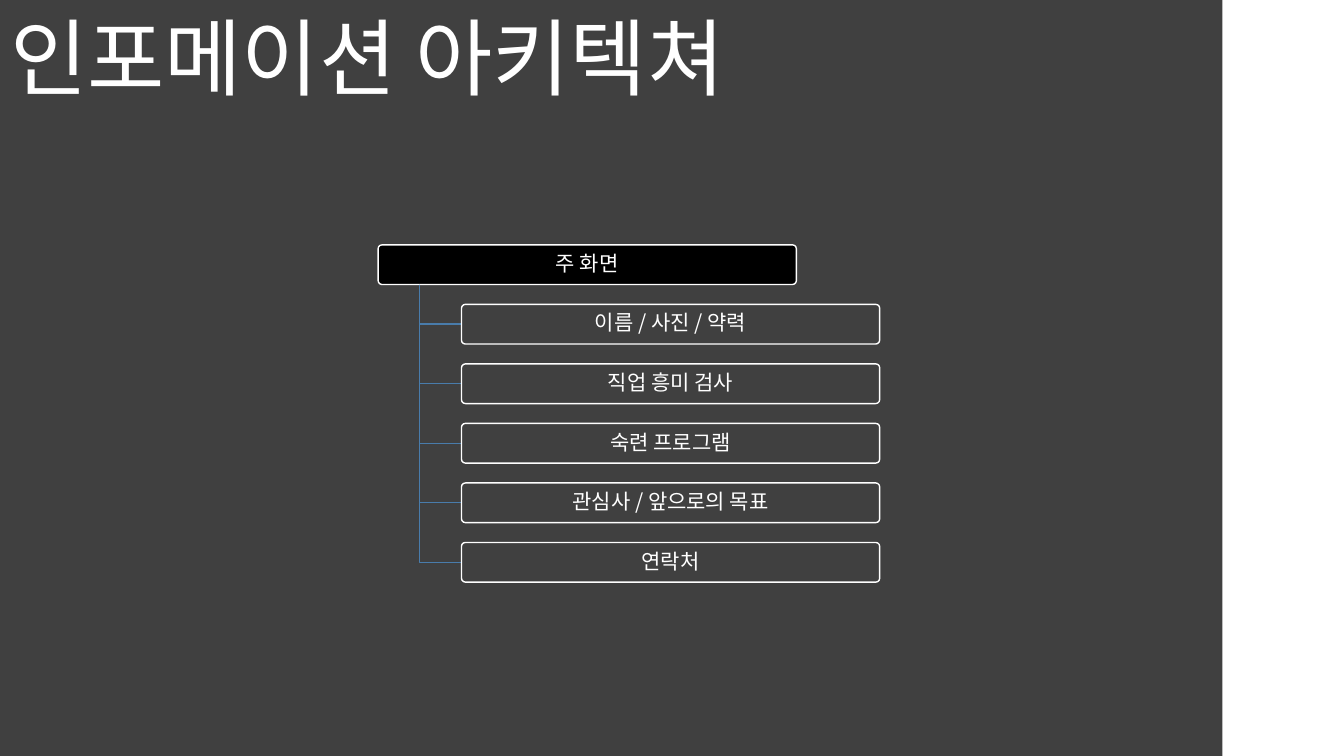
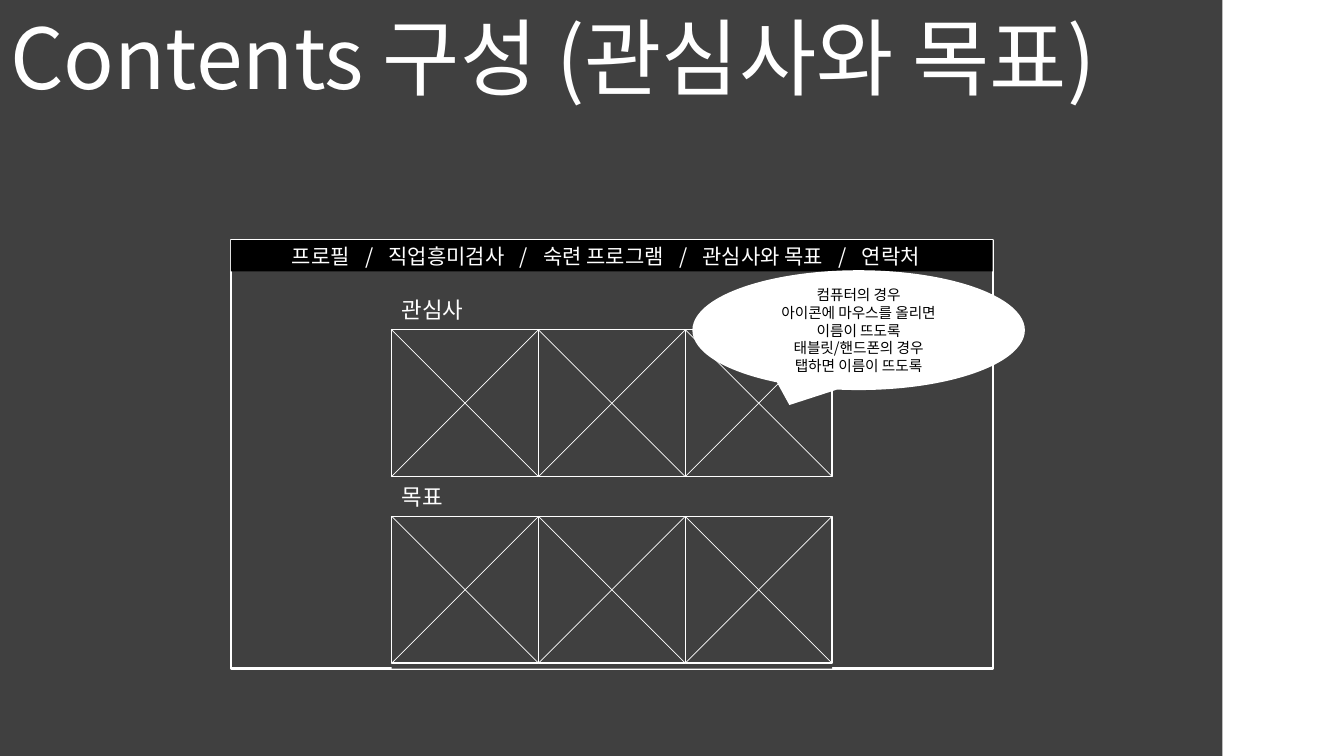
from dataclasses import dataclass

from lxml import etree
from pptx import Presentation
from pptx.dml.color import RGBColor
from pptx.enum.shapes import MSO_CONNECTOR, MSO_SHAPE
from pptx.enum.text import MSO_ANCHOR, MSO_AUTO_SIZE, PP_ALIGN
from pptx.oxml.ns import qn
from pptx.util import Cm, Pt

RECT, ROUNDED = MSO_SHAPE.RECTANGLE, MSO_SHAPE.ROUNDED_RECTANGLE
CALLOUT = MSO_SHAPE.OVAL_CALLOUT
STRAIGHT = MSO_CONNECTOR.STRAIGHT
TOP, MIDDLE = MSO_ANCHOR.TOP, MSO_ANCHOR.MIDDLE
LEFT, CENTER = PP_ALIGN.LEFT, PP_ALIGN.CENTER
GROW = MSO_AUTO_SIZE.SHAPE_TO_FIT_TEXT
TITLE_ONLY = 5

# Boxes are (left, top, width, height); all lengths are in centimetres.
SLIDE_WIDTH, SLIDE_HEIGHT = 33.87, 19.05
PANEL_BOX = (0, 0, 30.81, SLIDE_HEIGHT)
TITLE_BOX = (0, 0, 28.6, 2.82)
NODE_HEIGHT, NODE_INDENT = 1, 2.1
MENU_HEIGHT = 0.79
GALLERY_WIDTH, GALLERY_OFFSET = 11.1, 1.3
HEADING_WIDTH, HEADING_HEIGHT, GALLERY_ROW_PITCH = 6.02, 0.96, 4.7


@dataclass(frozen=True)
class Theme:
    """Colours, font, type sizes and line widths shared by the slides."""
    panel: RGBColor = RGBColor(0x40, 0x40, 0x40)
    white: RGBColor = RGBColor(0xFF, 0xFF, 0xFF)
    black: RGBColor = RGBColor(0, 0, 0)
    branch: RGBColor = RGBColor(0x49, 0x7C, 0xAB)
    font: str = "Noto Sans CJK KR"
    title: float = 60
    heading: float = 16
    body: float = 15
    note: float = 10.5
    thin: float = 0.5
    regular: float = 1
    thick: float = 1.75


THEME = Theme()


def style_text(shape, size, color=THEME.white, align=CENTER, anchor=MIDDLE):
    """Format every paragraph of a shape alike."""
    frame = shape.text_frame
    frame.word_wrap = True
    frame.vertical_anchor = anchor
    for paragraph in frame.paragraphs:
        paragraph.alignment = align
        font = paragraph.font
        font.size, font.name = Pt(size), THEME.font
        font.color.rgb = color
    for defaults in shape.element.iter(qn("a:defRPr")):
        etree.SubElement(defaults, qn("a:ea"), typeface=THEME.font)


def style_heading(shape, text, size):
    """Fill a top-left heading that grows with its text."""
    shape.text_frame.text = text
    style_text(shape, size, align=LEFT, anchor=TOP)
    shape.text_frame.auto_size = GROW


def style_line(shape, color, width):
    """Set the colour and the width in points of a line."""
    shape.line.color.rgb = color
    shape.line.width = Pt(width)


def add_block(slide, kind, box, fill, line_width=None):
    """Add a filled preset shape, outlined in white if a width is given."""
    block = slide.shapes.add_shape(kind, *map(Cm, box))
    block.shadow.inherit = False
    block.fill.solid()
    block.fill.fore_color.rgb = fill
    if line_width is None:
        block.line.fill.background()
    else:
        style_line(block, THEME.white, line_width)
    return block


def add_titled_slide(deck, title_text):
    """Add a slide with the dark panel behind the large title."""
    slide = deck.slides.add_slide(deck.slide_layouts[TITLE_ONLY])
    title = slide.shapes.title
    title.left, title.top, title.width, title.height = map(Cm, TITLE_BOX)
    style_heading(title, title_text, THEME.title)
    panel = add_block(slide, RECT, PANEL_BOX, THEME.panel)
    title.element.addprevious(panel.element)
    return slide


def add_node(slide, box, text, fill):
    """Add one labelled box of the hierarchy."""
    node = add_block(slide, ROUNDED, box, fill, THEME.regular)
    node.adjustments[0] = 0.1
    frame = node.text_frame
    frame.text = text
    frame.margin_left = frame.margin_right = Cm(0.08)
    frame.margin_top = frame.margin_bottom = Cm(0.05)
    frame.paragraphs[0].line_spacing = 0.9
    style_text(node, THEME.body)


def add_branch(slide, box):
    """Draw an elbow down the left edge and along the bottom of the box."""
    left, top, width, height = box
    start, corner, end = [
        (Cm(x), Cm(y)) for x, y in ((left, top), (left, top + height),
                                    (left + width, top + height))]
    builder = slide.shapes.build_freeform(*start)
    builder.add_line_segments([corner, end], close=False)
    branch = builder.convert_to_shape()
    branch.shadow.inherit = False
    branch.fill.background()
    style_line(branch, THEME.branch, THEME.regular)


def add_hierarchy(slide, box, root, children):
    """Draw a root with indented children, spread evenly over the box."""
    left, top, width, height = box
    node_width = width - NODE_INDENT
    row_pitch = (height - NODE_HEIGHT) / len(children)
    trunk_offset = NODE_INDENT / 2
    add_node(slide, (left, top, node_width, NODE_HEIGHT), root, THEME.black)
    for row, child in enumerate(children, start=1):
        drop = row * row_pitch
        add_branch(slide, (left + trunk_offset, top + NODE_HEIGHT,
                           NODE_INDENT - trunk_offset, drop - NODE_HEIGHT / 2))
        add_node(slide, (left + NODE_INDENT, top + drop, node_width, NODE_HEIGHT),
                 child, THEME.panel)


def add_menu(slide, box, entries):
    """Add the black menu bar, its entries parted by widely spaced slashes."""
    menu = add_block(slide, RECT, box, THEME.black)
    menu.text_frame.margin_right = Cm(0.55)
    paragraph = menu.text_frame.paragraphs[0]
    for position, entry in enumerate(entries):
        separator = (" ", "/", " ") if position else ()
        for piece in (*separator, entry):
            paragraph.add_run().text = piece
    for run in menu.element.iter(qn("a:r")):
        if run.text == " ":
            run.get_or_add_rPr().set("spc", "750")
    style_text(menu, THEME.body)


def add_tile(slide, box):
    """Add an icon slot crossed by its two diagonals."""
    left, top, width, height = box
    right, bottom = left + width, top + height
    add_block(slide, RECT, box, THEME.panel, THEME.regular)
    for ends in ((left, top, right, bottom), (right, top, left, bottom)):
        diagonal = slide.shapes.add_connector(STRAIGHT, *map(Cm, ends))
        style_line(diagonal, THEME.white, THEME.thin)
        etree.SubElement(diagonal.element.spPr, qn("a:effectLst"))


def add_gallery(slide, box, headings, columns=3):
    """Stack headed rows of square icon slots in the box."""
    left, top, width, _ = box
    add_block(slide, RECT, box, THEME.panel)
    side = width / columns
    for row, heading_text in enumerate(headings):
        heading_top = top + row * GALLERY_ROW_PITCH
        heading = slide.shapes.add_textbox(
            *map(Cm, (left, heading_top, HEADING_WIDTH, HEADING_HEIGHT)))
        style_heading(heading, heading_text, THEME.heading)
        tile_top = heading_top + HEADING_HEIGHT
        for column in range(columns):
            add_tile(slide, (left + column * side, tile_top, side, side))


def add_wireframe(slide, box, entries, headings):
    """Draw the page frame with its menu and a centred icon gallery."""
    left, top, width, height = box
    add_block(slide, RECT, box, THEME.panel, THEME.thick)
    add_menu(slide, (left, top, width, MENU_HEIGHT), entries)
    gallery_left = left + (width - GALLERY_WIDTH) / 2
    add_gallery(slide, (gallery_left, top + GALLERY_OFFSET,
                        GALLERY_WIDTH, height - GALLERY_OFFSET), headings)


def add_remark(slide, box, lines):
    """Add the white speech balloon, one paragraph a line."""
    remark = add_block(slide, CALLOUT, box, THEME.white)
    remark.text_frame.text = "\n".join(lines)
    style_text(remark, THEME.note, THEME.black)


def add_architecture_slide(deck):
    """Add the slide with the hierarchy of the site."""
    slide = add_titled_slide(deck, "인포메이션 아키텍쳐")
    add_hierarchy(slide, (9.53, 6.17, 12.64, 8.5), "주 화면", [
        "이름 / 사진 / 약력", "직업 흥미 검사", "숙련 프로그램",
        "관심사 / 앞으로의 목표", "연락처"])


def add_contents_slide(deck):
    """Add the slide with the page wireframe and its remark."""
    slide = add_titled_slide(deck, "Contents 구성 (관심사와 목표)")
    add_wireframe(
        slide, (5.82, 6.05, 19.2, 10.8),
        ["프로필", "직업흥미검사", "숙련 프로그램", "관심사와 목표", "연락처"],
        ["관심사", "목표"])
    add_remark(slide, (17.45, 6.81, 8.38, 3.02), [
        "컴퓨터의 경우", "아이콘에 마우스를 올리면", "이름이 뜨도록",
        "태블릿/핸드폰의 경우", "탭하면 이름이 뜨도록"])


def main():
    """Build and save the deck."""
    deck = Presentation()
    deck.slide_width, deck.slide_height = Cm(SLIDE_WIDTH), Cm(SLIDE_HEIGHT)
    add_architecture_slide(deck)
    add_contents_slide(deck)
    deck.save("out.pptx")


main()
